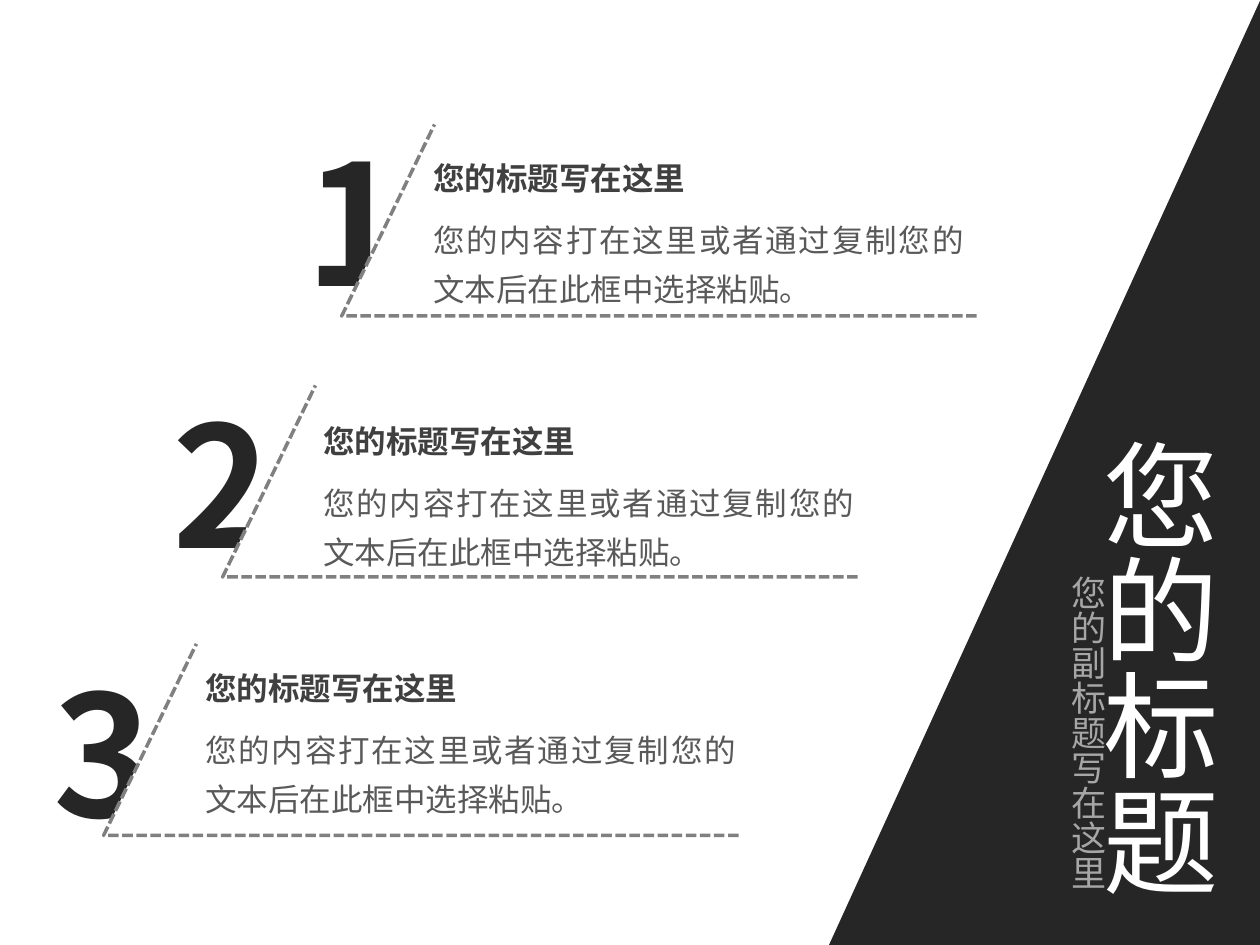
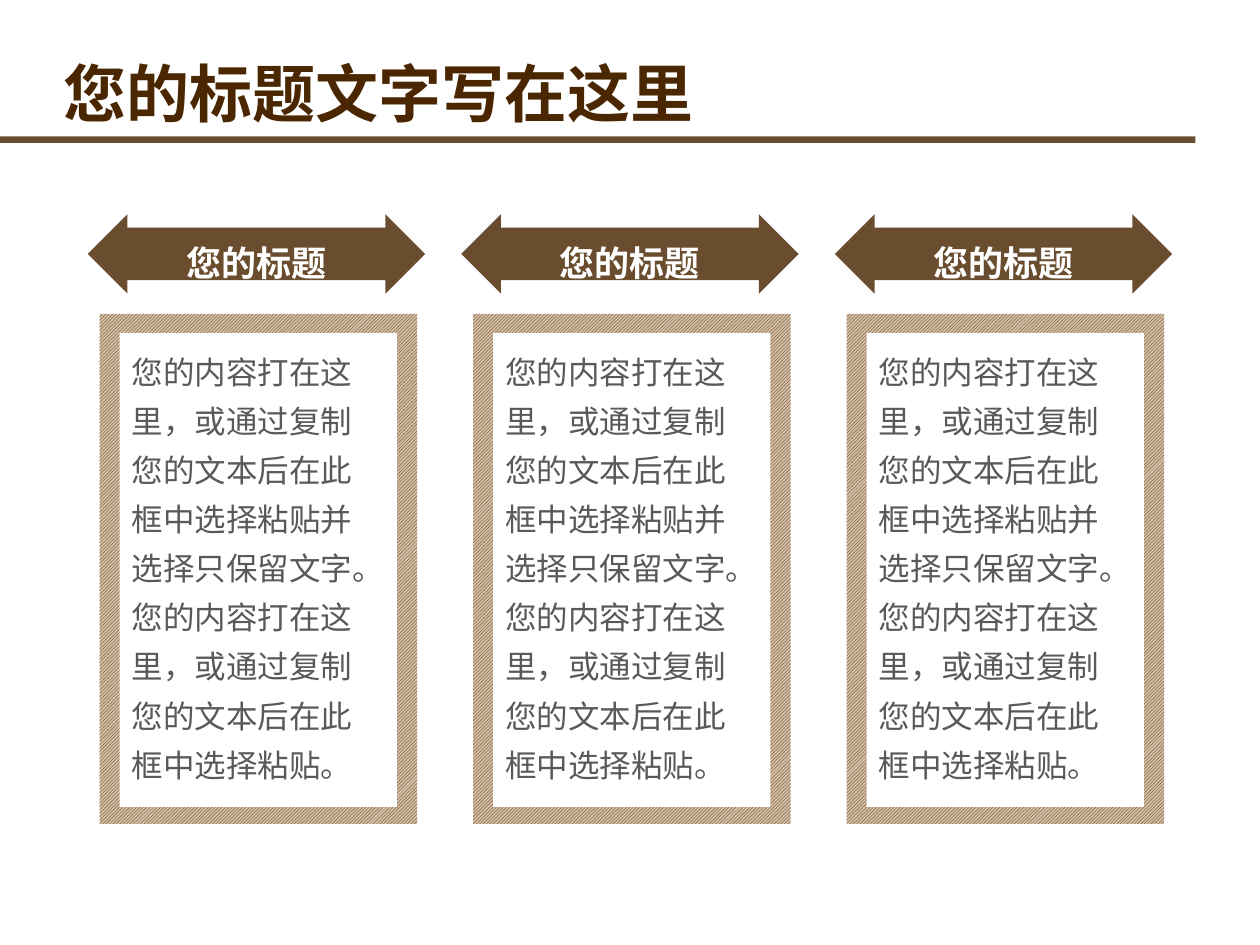
from lxml import etree
from pptx import Presentation
from pptx.dml.color import RGBColor
from pptx.enum.dml import MSO_LINE, MSO_PATTERN
from pptx.enum.shapes import MSO_SHAPE
from pptx.enum.text import MSO_ANCHOR, MSO_AUTO_SIZE, PP_ALIGN
from pptx.oxml.ns import qn
from pptx.util import Cm, Pt

# Content
STEP_PAGE_TITLE = "您的标题"
STEP_PAGE_SUBTITLE = "您的副标题写在这里"
STEP_HEADING = "您的标题写在这里"
STEP_BODY = "您的内容打在这里或者通过复制您的文本后在此框中选择粘贴。"
# Number, then left and top in cm of the number, the frame and the heading
STEPS = [
    ("1", (5.91, 2.26), (6.89, 2.51), (8.48, 3.08)),
    ("2", (3.23, 7.54), (4.49, 7.77), (6.27, 8.38)),
    ("3", (0.83, 12.97), (2.09, 12.98), (3.89, 13.36)),
]
COLUMN_PAGE_TITLE = "您的标题文字写在这里"
COLUMN_BODY = (
    "您的内容打在这里，或通过复制您的文本后在此框中选择粘贴并选择只保留文字。"
    "您的内容打在这里，或通过复制您的文本后在此框中选择粘贴。"
)
COLUMNS = [("您的标题", COLUMN_BODY)] * 3

# Shared look
SANS = "Noto Sans CJK SC"
VERTICAL_SANS = "Noto Sans CJK JP"
WHITE = RGBColor(0xFF, 0xFF, 0xFF)
INK = RGBColor(0x26, 0x26, 0x26)
HEADING_GRAY = RGBColor(0x40, 0x40, 0x40)
BODY_GRAY = RGBColor(0x59, 0x59, 0x59)
DASH_GRAY = RGBColor(0x80, 0x80, 0x80)
SUBTITLE_GRAY = RGBColor(0xA6, 0xA6, 0xA6)
BROWN = RGBColor(0x4A, 0x27, 0x00)
TAN = RGBColor(0xD3, 0xBD, 0xA5)
LEFT, CENTER, JUSTIFY = PP_ALIGN.LEFT, PP_ALIGN.CENTER, PP_ALIGN.JUSTIFY
RECTANGLE = MSO_SHAPE.RECTANGLE
TITLE_ONLY = 5

# Layout in cm
FRAME_WIDTH, FRAME_HEIGHT, FRAME_LEAN = 12.8, 3.86, 1.87
BODY_DROP = 1.03
COLUMN_LEFT, COLUMN_PITCH = 1.77, 7.53


def write(box, area, text, size, color, bold=False, align=LEFT, spacing=None,
          font_name=SANS, vertical=False):
    """Place a text box or title placeholder and fill it with one paragraph."""
    box.left, box.top, box.width, box.height = map(Cm, area)
    frame = box.text_frame
    frame.word_wrap = not vertical
    frame.auto_size = MSO_AUTO_SIZE.SHAPE_TO_FIT_TEXT
    frame.vertical_anchor = MSO_ANCHOR.TOP
    if vertical:
        frame._txBody.bodyPr.set("vert", "eaVert")
    para = frame.paragraphs[0]
    para.text = text
    para.alignment = align
    if spacing:
        para.line_spacing = spacing
    font = para.font
    font.size, font.bold, font.name = Pt(size), bold, font_name
    font.color.rgb = color
    etree.SubElement(font._rPr, qn("a:ea"), typeface=font_name)


def add_text(page, area, *args, **options):
    write(page.shapes.add_textbox(0, 0, 0, 0), area, *args, **options)


def add_block(page, kind, area, color, opacity=None):
    block = page.shapes.add_shape(kind, *map(Cm, area))
    block.shadow.inherit = False
    block.line.fill.background()
    block.fill.solid()
    block.fill.fore_color.rgb = color
    if opacity:
        rgb = block._element.spPr.find(".//" + qn("a:srgbClr"))
        etree.SubElement(rgb, qn("a:alpha"), val=str(opacity * 1000))
    return block


def add_step_frame(page, left, top):
    """Dashed open outline: base line, then the slanted stroke."""
    bottom = top + FRAME_HEIGHT
    builder = page.shapes.build_freeform(Cm(left + FRAME_WIDTH), Cm(bottom))
    builder.add_line_segments(
        [(Cm(left), Cm(bottom)), (Cm(left + FRAME_LEAN), Cm(top))], close=False)
    outline = builder.convert_to_shape()
    outline.shadow.inherit = False
    outline.fill.solid()
    outline.fill.fore_color.rgb = WHITE
    outline.line.color.rgb = DASH_GRAY
    outline.line.width = Pt(2)
    outline.line.dash_style = MSO_LINE.SQUARE_DOT


def build_step_page(deck):
    page = deck.slides.add_slide(deck.slide_layouts[TITLE_ONLY])
    title = page.shapes.title

    # Dark corner
    corner = add_block(page, MSO_SHAPE.RIGHT_TRIANGLE, (16.7, 0, 8.71, 19.08), INK)
    corner._element.spPr.xfrm.set("flipH", "1")

    # Numbered steps
    for number, number_at, frame_at, (left, top) in STEPS:
        add_text(page, (*number_at, 1.93, 4.37), number, 96, INK, bold=True)
        add_step_frame(page, *frame_at)
        add_text(page, (left, top + BODY_DROP, 11.2, 2.26), STEP_BODY, 18, BODY_GRAY,
                 align=JUSTIFY, spacing=1.3)
        add_text(page, (left, top, 6.2, 1.02), STEP_HEADING, 18, HEADING_GRAY, bold=True)

    # Vertical titles, in front of the corner
    upright = dict(align=JUSTIFY, font_name=VERTICAL_SANS, vertical=True)
    page.shapes._spTree.append(title._element)
    write(title, (21.65, 8.69, 3.33, 9.65), STEP_PAGE_TITLE, 66, WHITE, **upright)
    add_text(page, (21.11, 11.35, 1.37, 6.68), STEP_PAGE_SUBTITLE, 20, SUBTITLE_GRAY,
             **upright)


def build_column_page(deck):
    page = deck.slides.add_slide(deck.slide_layouts[TITLE_ONLY])

    # Title and rule
    write(page.shapes.title, (1.02, 0.51, 20.07, 2.26), COLUMN_PAGE_TITLE, 36, BROWN,
          bold=True, spacing=1.3)
    add_block(page, RECTANGLE, (0, 2.75, 24.1, 0.13), BROWN, opacity=82)

    # Columns: hatched border, white panel, arrow heading
    for index, (heading, body) in enumerate(COLUMNS):
        left = COLUMN_LEFT + index * COLUMN_PITCH
        border = add_block(page, RECTANGLE, (left + 0.24, 6.33, 6.4, 10.28), TAN)
        border.fill.patterned()
        border.fill.pattern = MSO_PATTERN.LIGHT_UPWARD_DIAGONAL
        border.fill.fore_color.rgb = BROWN
        border.fill.back_color.rgb = TAN
        add_block(page, RECTANGLE, (left + 0.64, 6.71, 5.59, 9.56), WHITE)
        arrow = add_block(page, MSO_SHAPE.LEFT_RIGHT_ARROW, (left, 4.32, 6.8, 1.6),
                          BROWN, opacity=82)
        arrow.adjustments[0] = 0.66
        add_text(page, (left + 0.79, 4.48, 5.21, 1.27), heading, 20, WHITE, bold=True,
                 align=CENTER, spacing=1.3)
        add_text(page, (left + 0.64, 6.76, 5.51, 9.27), body, 18, BODY_GRAY, spacing=1.3)


def main():
    deck = Presentation()
    deck.slide_width, deck.slide_height = Cm(25.4), Cm(19.05)
    build_step_page(deck)
    build_column_page(deck)
    deck.save("out.pptx")


if __name__ == "__main__":
    main()
